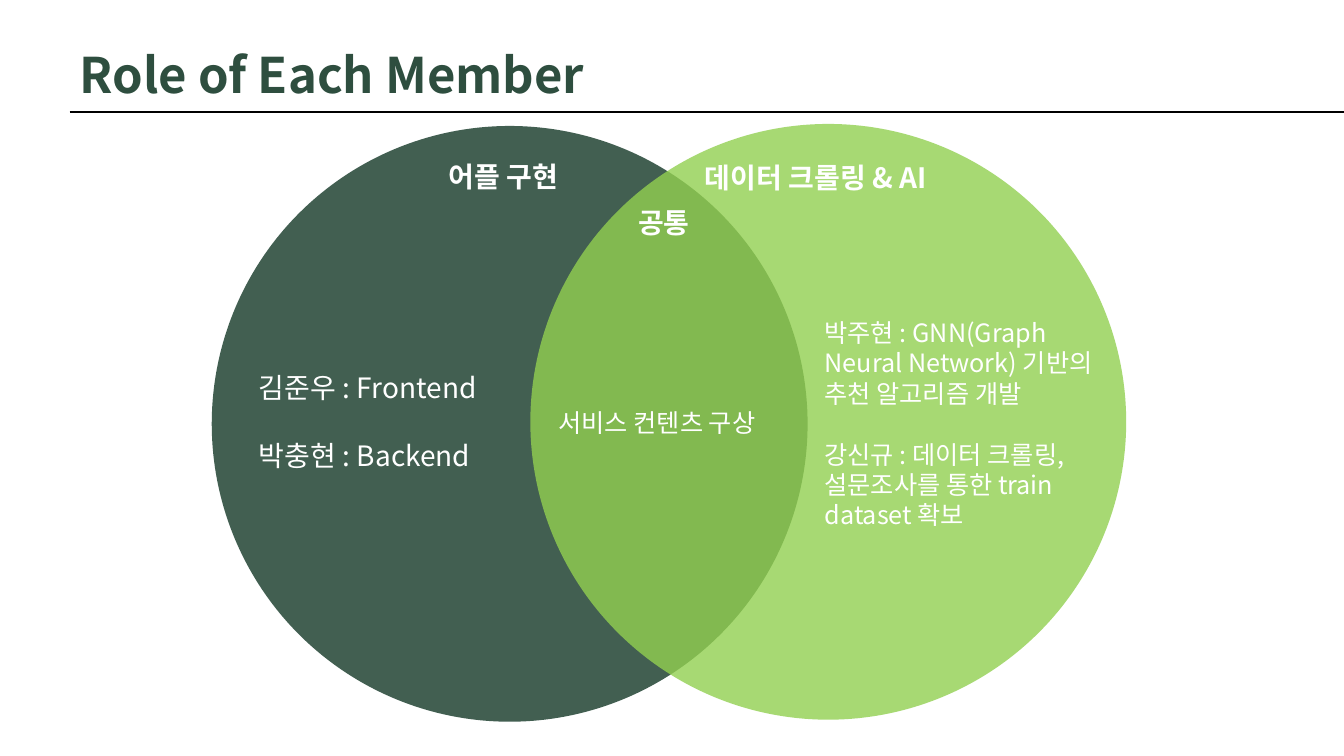
"""Build a Venn diagram slide showing the role of each team member."""
from lxml import etree
from pptx import Presentation
from pptx.dml.color import RGBColor
from pptx.enum import shapes, text
from pptx.oxml import ns
from pptx.util import Inches, Pt

FONT = "Noto Sans CJK KR"
DARK_GREEN = RGBColor(0x2E, 0x4E, 0x3F)
LIGHT_GREEN = RGBColor(0x92, 0xD0, 0x50)
WHITE = RGBColor(0xFF, 0xFF, 0xFF)
BLACK = RGBColor(0, 0, 0)
DIAMETER = 5.91

presentation = Presentation()
presentation.slide_width = Inches(13.33)
presentation.slide_height = Inches(7.5)
slide = presentation.slides.add_slide(presentation.slide_layouts[6])


def add_text(box, lines, size, color=WHITE, bold=False, gap=0):
    """Add a text box with one paragraph per line and return its frame."""
    frame = slide.shapes.add_textbox(*map(Inches, box)).text_frame
    frame.word_wrap = True
    frame.vertical_anchor = text.MSO_ANCHOR.TOP
    frame.text = "\n".join(lines)
    for index, paragraph in enumerate(frame.paragraphs):
        paragraph.space_before = Pt(gap if index else 0)
        for run in paragraph.runs:
            run.font.name = FONT
            run.font.size = Pt(size)
            run.font.bold = bold
            run.font.color.rgb = color
            east_asian = etree.SubElement(run.font._element, ns.qn("a:ea"))
            east_asian.set("typeface", FONT)
    return frame


title = add_text((0.69, 0.46, 11.5, 0.77), ["Role of Each Member"], 35, DARK_GREEN, True)
title.paragraphs[0].line_spacing = 0.9

rule = slide.shapes.add_connector(
    shapes.MSO_CONNECTOR.STRAIGHT, Inches(0.69), Inches(1.11), Inches(13.33), Inches(1.11))
rule.line.color.rgb = BLACK
rule.line.width = Pt(1)
etree.SubElement(rule._element.spPr, ns.qn("a:effectLst"))

for left, top, color, opacity in [
    (2.1, 1.25, DARK_GREEN, 90),
    (5.26, 1.23, LIGHT_GREEN, 80),
]:
    circle = slide.shapes.add_shape(
        shapes.MSO_SHAPE.OVAL, Inches(left), Inches(top), Inches(DIAMETER), Inches(DIAMETER))
    circle.shadow.inherit = False
    circle.line.fill.background()
    circle.fill.solid()
    circle.fill.fore_color.rgb = color
    color_element = circle._element.spPr.find(".//" + ns.qn("a:srgbClr"))
    etree.SubElement(color_element, ns.qn("a:alpha")).set("val", str(opacity * 1000))

for box, heading in [
    ((4.35, 1.53, 1.82, 0.44), "어플 구현"),
    ((6.89, 1.54, 2.85, 0.44), "데이터 크롤링 & AI"),
    ((6.23, 1.99, 0.85, 0.44), "공통"),
]:
    add_text(box, [heading], 20, bold=True)

add_text((2.47, 3.63, 3.01, 1.11), ["김준우 : Frontend", "박충현 : Backend"], 20, gap=24)
add_text((8.08, 3.1, 3.01, 2.22), [
    "박주현 : GNN(Graph Neural Network) 기반의 추천 알고리즘 개발",
    "강신규 : 데이터 크롤링, 설문조사를 통한 train dataset 확보",
], 18, gap=22)
add_text((5.44, 3.99, 2.51, 0.4), ["서비스 컨텐츠 구상"], 18)

presentation.save("out.pptx")
